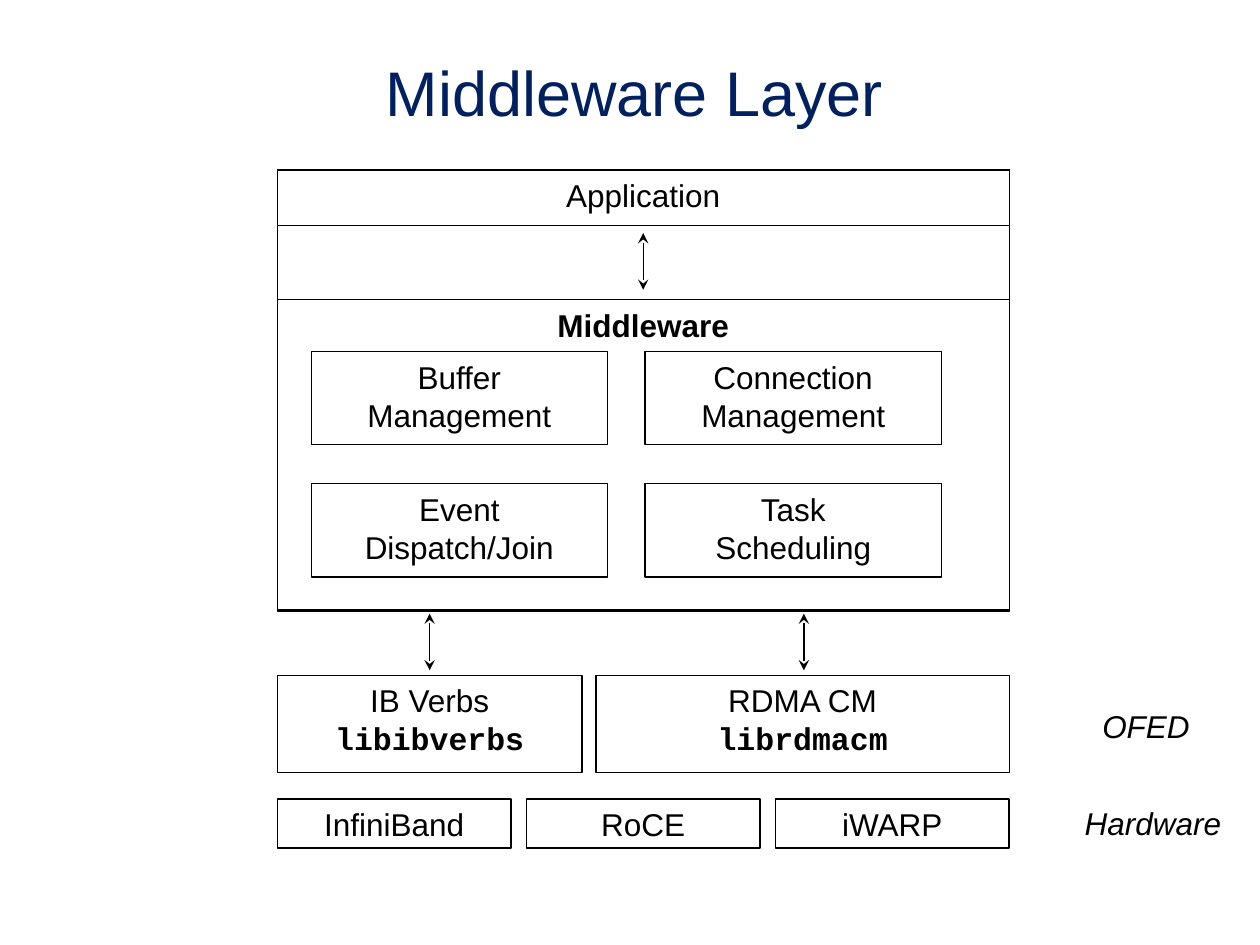
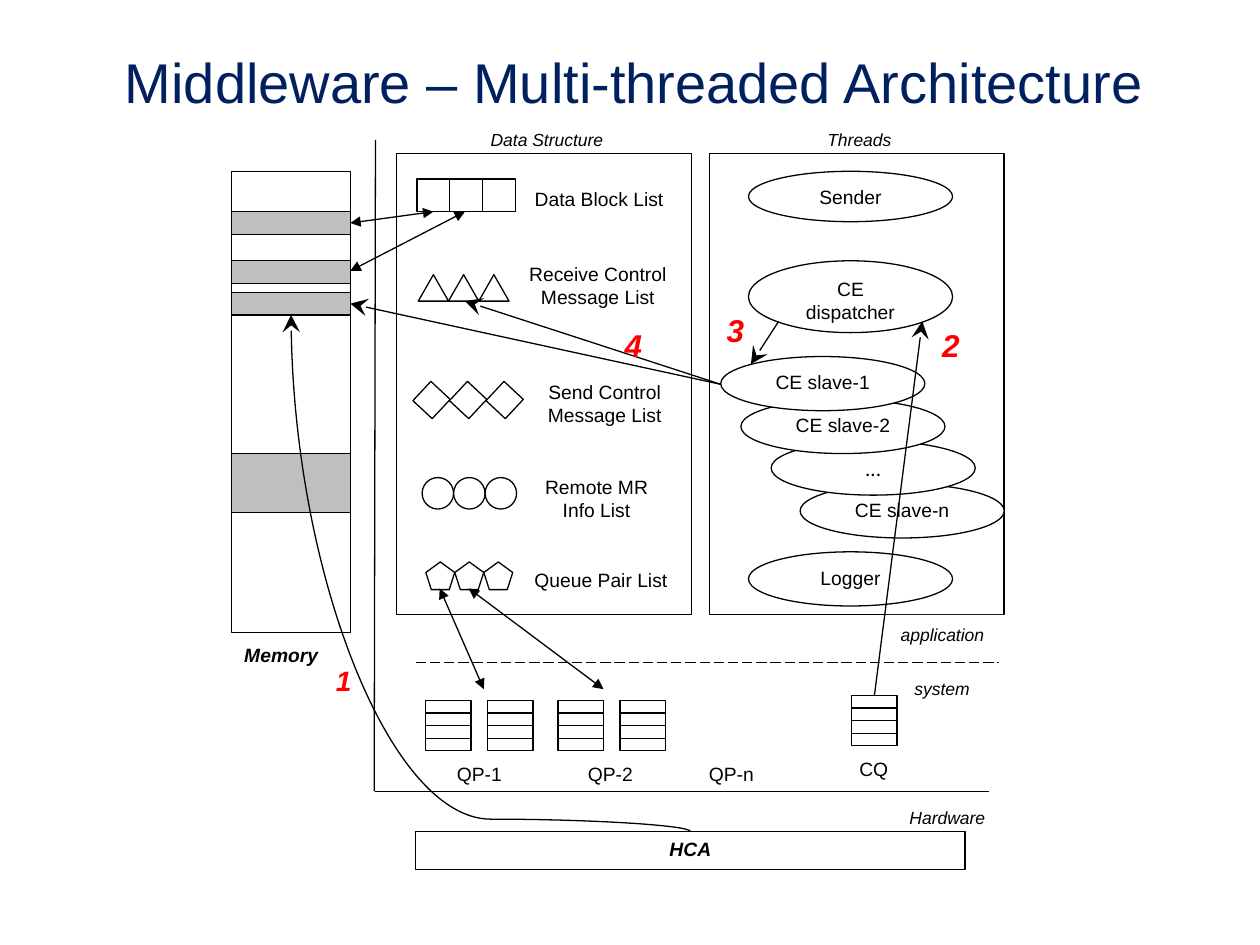
from dataclasses import dataclass, replace

from lxml.etree import SubElement
from pptx import Presentation
from pptx.dml.color import RGBColor
from pptx.enum.dml import MSO_LINE
from pptx.enum.shapes import MSO_CONNECTOR, MSO_SHAPE
from pptx.enum.text import MSO_ANCHOR, PP_ALIGN
from pptx.oxml.ns import qn
from pptx.util import Inches, Pt

NAVY = RGBColor(0x00, 0x20, 0x60)
BLACK = RGBColor(0x00, 0x00, 0x00)
WHITE = RGBColor(0xFF, 0xFF, 0xFF)
GRAY = RGBColor(0xBF, 0xBF, 0xBF)
RED = RGBColor(0xFF, 0x00, 0x00)
LINE_WIDTH = Pt(0.75)


@dataclass(frozen=True)
class TextStyle:
    size: int
    color: RGBColor = BLACK
    font: str = "Arial"
    bold: bool = False
    italic: bool = False


BODY = TextStyle(18)
STRONG = replace(BODY, bold=True)
CODE = replace(STRONG, font="Courier New")
SIDE_NOTE = replace(BODY, italic=True)
LABEL = TextStyle(11)
LABEL_STRONG = replace(LABEL, bold=True, italic=True)
CAPTION = TextStyle(10, italic=True)
ELLIPSIS = TextStyle(12, font="Calibri")
STEP = TextStyle(18, RED, bold=True, italic=True)


def write_text(shape, lines, align=PP_ALIGN.CENTER, anchor=MSO_ANCHOR.TOP, wrap=True):
    frame = shape.text_frame
    frame.word_wrap = wrap
    frame.vertical_anchor = anchor
    for index, (text, style) in enumerate(lines):
        paragraph = frame.add_paragraph() if index else frame.paragraphs[0]
        paragraph.alignment = align
        run = paragraph.add_run()
        run.text = text
        run.font.size = Pt(style.size)
        run.font.name = style.font
        run.font.bold = style.bold
        run.font.italic = style.italic
        run.font.color.rgb = style.color


def add_block(slide, box, lines=(), kind=MSO_SHAPE.RECTANGLE, fill=WHITE, line=BLACK, **layout):
    shape = slide.shapes.add_shape(kind, *map(Inches, box))
    shape.shadow.inherit = False
    if fill is None:
        shape.fill.background()
    else:
        shape.fill.solid()
        shape.fill.fore_color.rgb = fill
    if line is None:
        shape.line.fill.background()
    else:
        shape.line.color.rgb = line
        shape.line.width = LINE_WIDTH
    write_text(shape, lines, **layout)
    return shape


def add_label(slide, box, text, style=LABEL, **layout):
    layout = {"anchor": MSO_ANCHOR.MIDDLE, **layout}
    add_block(slide, box, [(text, style)], line=None, **layout)


def add_text_box(slide, box, text, style, **layout):
    write_text(slide.shapes.add_textbox(*map(Inches, box)), [(text, style)], **layout)


def add_line(slide, start, end, head=None, tail=None, size="med", kind=MSO_CONNECTOR.STRAIGHT):
    connector = slide.shapes.add_connector(kind, *map(Inches, (*start, *end)))
    connector.line.color.rgb = BLACK
    connector.line.width = LINE_WIDTH
    outline = connector.line._get_or_add_ln()
    for tag, arrow in (("a:headEnd", head), ("a:tailEnd", tail)):
        if arrow:
            SubElement(outline, qn(tag), type=arrow, w=size, len=size)
    SubElement(connector._element.spPr, qn("a:effectLst"))
    return connector


def add_title(slide, top, text, size):
    add_text_box(slide, (0.62, top, 8.83, 0.82), text, TextStyle(size, NAVY),
                 align=PP_ALIGN.CENTER, anchor=MSO_ANCHOR.BOTTOM)


def add_layer_block(slide, box, *lines):
    add_block(slide, box, lines, fill=None, wrap=False)


def add_exchange_arrow(slide, x, top):
    add_line(slide, (x, top), (x, top + 0.45), "stealth", "stealth")


def add_application_region(slide, left, top, width):
    add_layer_block(slide, (left, top, width, 3.49))
    add_layer_block(slide, (left, top, width, 0.44), ("Application", BODY))
    add_exchange_arrow(slide, left + width / 2, top + 0.5)


def add_middleware_region(slide, left, top, width):
    add_layer_block(slide, (left, top, width, 2.47), ("Middleware", STRONG))
    services = [("Buffer", "Management"), ("Connection", "Management"),
                ("Event", "Dispatch/Join"), ("Task", "Scheduling")]
    for index, words in enumerate(services):
        row, column = divmod(index, 2)
        box = (left + 0.27 + column * 2.65, top + 0.41 + row * 1.05, 2.35, 0.74)
        add_layer_block(slide, box, *[(word, BODY) for word in words])
    for offset in (1.21, 4.18):
        add_exchange_arrow(slide, left + offset, top + 2.49)


def add_library_region(slide, left, top, width):
    add_layer_block(slide, (left, top, 2.42, 0.77), ("IB Verbs", BODY), ("libibverbs", CODE))
    add_layer_block(slide, (left + 2.53, top, width - 2.53, 0.77),
                    ("RDMA CM", BODY), ("librdmacm", CODE))
    add_text_box(slide, (left + 6.4, top + 0.2, 0.99, 0.4), "OFED", SIDE_NOTE)


def add_hardware_region(slide, left, top, width):
    gap = 0.12
    block_width = (width - 2 * gap) / 3
    for index, name in enumerate(("InfiniBand", "RoCE", "iWARP")):
        box = (left + index * (block_width + gap), top, block_width, 0.39)
        add_layer_block(slide, box, (name, BODY))
    add_text_box(slide, (left + 6.28, top - 0.01, 1.34, 0.4), "Hardware", SIDE_NOTE)


def build_layer_slide(slide):
    add_title(slide, 0.25, "Middleware Layer", 36)
    left, width = 2.2, 5.81
    add_application_region(slide, left, 1.35, width)
    add_middleware_region(slide, left, 2.38, width)
    add_library_region(slide, left, 5.36, width)
    add_hardware_region(slide, left, 6.34, width)


def add_panel(slide, left, top, caption):
    add_label(slide, (left + 0.6, top - 0.24, 1.18, 0.26), caption, CAPTION)
    add_block(slide, (left, top, 2.34, 3.66))


def add_data_structures(slide, left, top):
    add_panel(slide, left, top, "Data Structure")
    lists = [
        (MSO_SHAPE.RECTANGLE, (0.16, 0.2, 0.26, 0.26), 0.26, 0,
         "Data Block List", (0.96, 0.2, 1.29, 0.31)),
        (MSO_SHAPE.ISOSCELES_TRIANGLE, (0.17, 0.96, 0.24, 0.21), 0.24, 0,
         "Receive Control Message List", (0.94, 0.8, 1.31, 0.49)),
        (MSO_SHAPE.RECTANGLE, (0.17, 1.85, 0.21, 0.21), 0.29, 43,
         "Send Control Message List", (1.05, 1.72, 1.2, 0.52)),
        (MSO_SHAPE.OVAL, (0.2, 2.57, 0.25, 0.25), 0.25, 0,
         "Remote MR Info List", (1.02, 2.48, 1.13, 0.51)),
        (MSO_SHAPE.REGULAR_PENTAGON, (0.23, 3.24, 0.23, 0.22), 0.23, 0,
         "Queue Pair List", (0.93, 3.24, 1.38, 0.29)),
    ]
    for kind, (x, y, width, height), pitch, angle, text, label_box in lists:
        for index in range(3):
            item = add_block(slide, (left + x + index * pitch, top + y, width, height), kind=kind)
            item.rotation = angle
        label_x, label_y, *label_size = label_box
        add_label(slide, (left + label_x, top + label_y, *label_size), text)


def add_threads(slide, left, top):
    add_panel(slide, left, top, "Threads")
    threads = [
        (0.31, 0.14, 0.4, "Sender", LABEL),
        (0.31, 0.85, 0.57, "CE dispatcher", LABEL),
        (0.72, 2.62, 0.43, "CE slave-n", LABEL),
        (0.49, 2.28, 0.43, "...", ELLIPSIS),
        (0.25, 1.95, 0.43, "CE slave-2", LABEL),
        (0.09, 1.61, 0.43, "CE slave-1", LABEL),
        (0.31, 3.16, 0.43, "Logger", LABEL),
    ]
    for x, y, height, text, style in threads:
        add_block(slide, (left + x, top + y, 1.62, height), [(text, style)], MSO_SHAPE.OVAL)


def add_memory(slide, left, top):
    width = 0.94
    add_block(slide, (left, top, width, 3.66))
    for offset, height in ((0.32, 0.18), (0.71, 0.18), (0.96, 0.18), (2.24, 0.47)):
        add_block(slide, (left, top + offset, width, height), fill=GRAY)
    add_label(slide, (left, top + 3.7, width, 0.31), "Memory", LABEL_STRONG,
              align=PP_ALIGN.LEFT, anchor=MSO_ANCHOR.TOP)


def add_queue(slide, left, top):
    for index in range(4):
        add_block(slide, (left, top + index * 0.1, 0.36, 0.1))


def add_system_queues(slide, left, top):
    for offset, text in ((0.11, "QP-1"), (1.15, "QP-2"), (2.11, "QP-n")):
        add_label(slide, (left + offset, top + 0.44, 0.63, 0.29), text)
    add_label(slide, (left + 3.24, top + 0.4, 0.63, 0.29), "CQ")
    for offset in (0, 0.49, 1.05, 1.54):
        add_queue(slide, left + offset, top)
    add_queue(slide, left + 3.38, top - 0.04)


def add_boundaries(slide, left, top):
    border = add_line(slide, (left + 0.32, top + 4.15), (left + 4.95, top + 4.15))
    border.line.dash_style = MSO_LINE.LONG_DASH
    add_line(slide, (left, top), (left - 0.01, top + 5.17))
    add_line(slide, (left + 4.87, top + 5.17), (left, top + 5.17))
    for x, y, width, text in ((4.07, 3.77, 0.92, "application"),
                              (4.18, 4.2, 0.86, "system"),
                              (4.14, 5.22, 0.86, "Hardware")):
        add_label(slide, (left + x, top + y, width, 0.31), text, CAPTION, align=PP_ALIGN.LEFT)


def add_transfer_curve(slide, left, top, width, height):
    turned_left = left + (width - height) / 2
    turned_top = top + (height - width) / 2
    curve = add_line(slide, (turned_left, turned_top + width), (turned_left + height, turned_top),
                     tail="stealth", size="lg", kind=MSO_CONNECTOR.CURVE)
    properties = curve._element.spPr
    properties.find(qn("a:xfrm")).set("rot", str(270 * 60000))
    geometry = properties.find(qn("a:prstGeom"))
    adjustments = geometry.find(qn("a:avLst"))
    if adjustments is None:
        adjustments = SubElement(geometry, qn("a:avLst"))
    SubElement(adjustments, qn("a:gd"), name="adj1", fmla="val 2400")


def add_flows(slide):
    for start, end in (((3.44, 1.68), (2.78, 1.77)), ((3.69, 1.68), (2.78, 2.15)),
                       ((3.49, 4.67), (3.84, 5.47)), ((3.72, 4.67), (4.79, 5.47))):
        add_line(slide, start, end, "triangle", "triangle")
    for start, end in (((6.94, 5.52), (7.32, 2.55)), ((6.18, 2.55), (5.96, 2.89)),
                       ((5.72, 3.05), (3.69, 2.39)), ((5.72, 3.05), (2.78, 2.41))):
        add_line(slide, start, end, tail="stealth", size="lg")
    add_transfer_curve(slide, 2.31, 2.5, 3.17, 4.1)
    for number, x, y, size in (("1", 2.5, 5.15, 16), ("2", 7.31, 2.47, 18),
                               ("3", 5.6, 2.35, 18), ("4", 4.79, 2.47, 18)):
        add_block(slide, (x, y, 0.47, 0.47), [(number, replace(STEP, size=size))], MSO_SHAPE.OVAL,
                  fill=None, line=None, align=PP_ALIGN.LEFT, wrap=False)


def build_architecture_slide(slide):
    add_title(slide, 0.14, "Middleware – Multi-threaded Architecture", 32)
    add_data_structures(slide, 3.15, 1.22)
    add_threads(slide, 5.63, 1.22)
    add_system_queues(slide, 3.38, 5.56)
    add_memory(slide, 1.84, 1.36)
    add_boundaries(slide, 2.98, 1.11)
    add_block(slide, (3.3, 6.6, 4.36, 0.3), [("HCA", LABEL_STRONG)])
    add_flows(slide)


def main():
    presentation = Presentation()
    presentation.slide_width = Inches(10)
    presentation.slide_height = Inches(7.5)
    for build in (build_layer_slide, build_architecture_slide):
        build(presentation.slides.add_slide(presentation.slide_layouts[6]))
    presentation.save("out.pptx")


if __name__ == "__main__":
    main()
